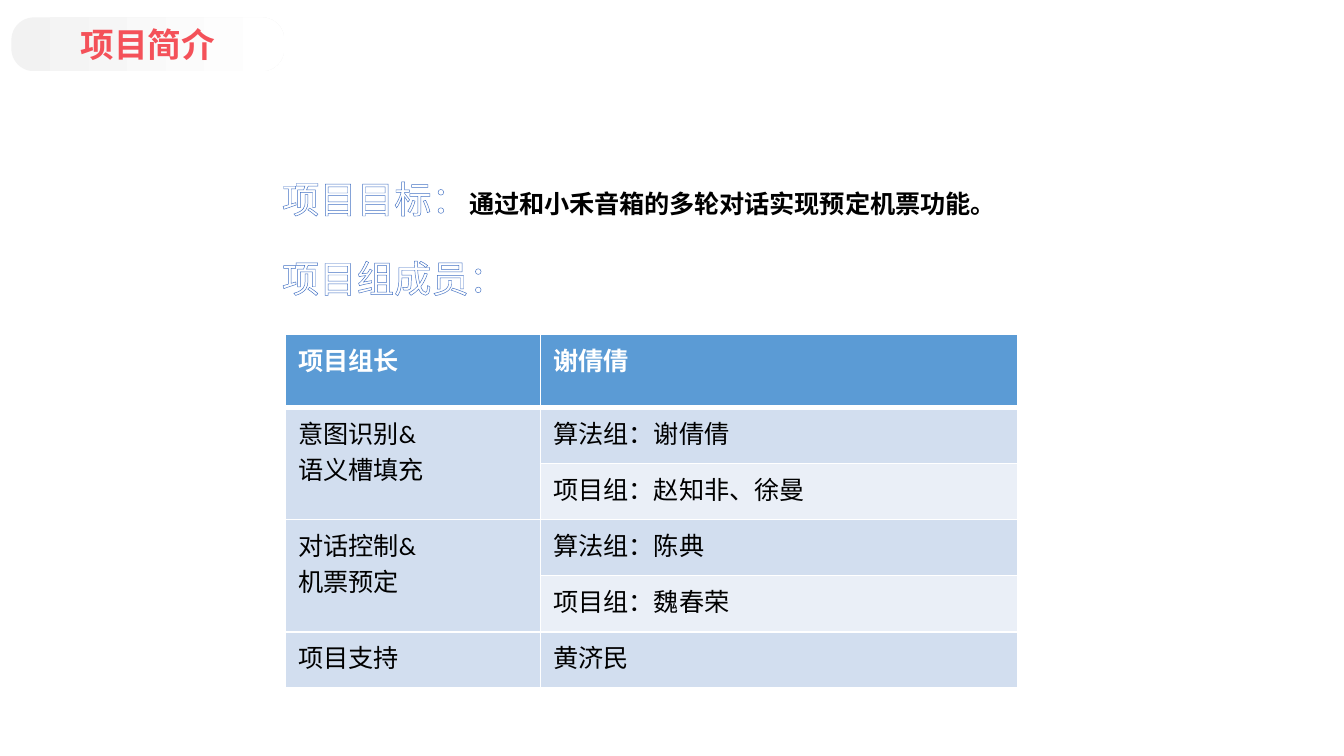
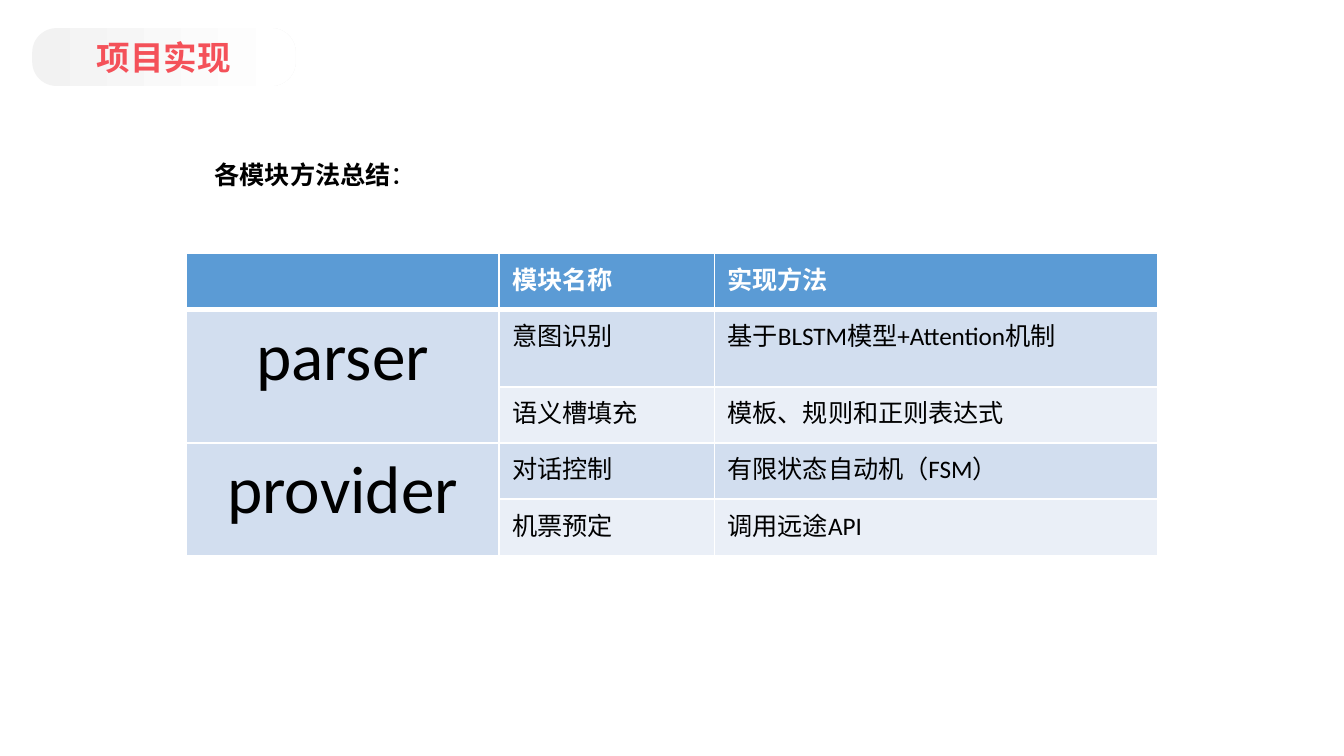
from lxml.etree import SubElement
from pptx import Presentation
from pptx.dml.color import RGBColor
from pptx.enum.shapes import MSO_SHAPE as Shape
from pptx.enum.text import MSO_ANCHOR as Anchor, MSO_AUTO_SIZE as AutoSize, PP_ALIGN as Align
from pptx.oxml import parse_xml
from pptx.oxml.ns import nsdecls, qn
from pptx.util import Inches, Pt

WHITE, BLACK, RED, OUTLINE = "FFFFFF", "000000", "F45159", "4472C4"
HEADER, BANDS = "5B9BD5", ("EAEFF7", "D2DEEF")
LATIN, CHINESE = "Calibri", "Noto Sans CJK SC"
BODY, LABEL, HEADING, MODULE = 13.5, 20, 18, 36


def color(value):
    return RGBColor.from_string(value)


def line_xml(tag, value, width):
    return parse_xml(
        f'<a:{tag} {nsdecls("a")} w="{Pt(width)}"><a:solidFill>'
        f'<a:srgbClr val="{value}"/></a:solidFill></a:{tag}>')


class Deck:
    """Draw styled elements on a grid of 100 columns, ten to the inch."""

    def __init__(self):
        self.deck = Presentation()
        self.deck.slide_width = Inches(10)
        self.deck.slide_height = self.deck.slide_width * 9 // 16
        self.page = None

    def grid(self, *cells):
        unit = self.deck.slide_width / 100
        return [round(cell * unit) for cell in cells]

    def span(self, para, text, size=BODY, fill=BLACK, bold=False, font=LATIN, outline=None):
        span = para.add_run()
        span.text = text
        span.font.size = Pt(size)
        span.font.bold = bold
        span.font.name = font
        span.font.color.rgb = color(fill)
        properties = span.font._element
        SubElement(properties, qn("a:ea")).set("typeface", CHINESE)
        if outline:
            properties.insert(0, line_xml("ln", outline, 0.8))

    def add_page(self, title, *cells):
        self.page = self.deck.slides.add_slide(self.deck.slide_layouts[5])
        box = self.page.shapes.title
        box.left, box.top, box.width, box.height = self.grid(*cells)
        box._element.addprevious(self.add_pill(*cells)._element)
        frame = box.text_frame
        frame.auto_size = AutoSize.NONE
        frame.vertical_anchor = Anchor.MIDDLE
        para = frame.paragraphs[0]
        para.alignment = Align.CENTER
        self.span(para, title, HEADING, RED, True, CHINESE)

    def add_pill(self, *cells):
        pill = self.page.shapes.add_shape(Shape.ROUNDED_RECTANGLE, *self.grid(*cells))
        pill.adjustments[0] = 0.42
        pill.shadow.inherit = False
        pill.line.fill.background()
        pill.fill.gradient()
        pill.fill.gradient_angle = 0
        for stop, value, position in zip(pill.fill.gradient_stops, ("F2F2F2", WHITE), (0, 0.99)):
            stop.color.rgb = color(value)
            stop.position = position
        return pill

    def add_text(self, left, top, width, height, *spans):
        box = self.page.shapes.add_textbox(*self.grid(left, top, width, height))
        frame = box.text_frame
        frame.word_wrap = True
        frame.auto_size = AutoSize.SHAPE_TO_FIT_TEXT
        for text, style in spans:
            self.span(frame.paragraphs[0], text, **style)

    def add_table(self, left, top, widths, heights, rows):
        place = self.grid(left, top, sum(widths), sum(heights))
        table = self.page.shapes.add_table(len(rows), len(widths), *place).table
        table.horz_banding = False
        for column, width in zip(table.columns, self.grid(*widths)):
            column.width = width
        for row, height in zip(table.rows, self.grid(*heights)):
            row.height = height
        for r, texts in enumerate(rows):
            for c, text in enumerate(texts):
                self.fill_cell(table.cell(r, c), r, text)
                if text is None:
                    table.cell(r - 1, c).merge(table.cell(r, c))

    def fill_cell(self, cell, row, text):
        properties = cell._tc.get_or_add_tcPr()
        widths = {"lnL": 1, "lnR": 1, "lnT": 3 if row == 1 else 1, "lnB": 1 if row else 3}
        for tag, width in widths.items():
            properties.append(line_xml(tag, WHITE, width))
        cell.fill.solid()
        cell.fill.fore_color.rgb = color(BANDS[row % 2] if row else HEADER)
        if not text:
            return
        frame = cell.text_frame
        for index, words in enumerate(text.split("\n")):
            para = frame.add_paragraph() if index else frame.paragraphs[0]
            is_module = words in ("parser", "provider")
            if is_module:
                para.alignment = Align.CENTER
            self.span(para, words, MODULE if is_module else BODY,
                      BLACK if row else WHITE, not row)


def main():
    deck = Deck()
    label = {"size": LABEL, "fill": WHITE, "outline": OUTLINE}
    strong = {"bold": True}

    deck.add_page("项目简介", 0.85, 1.3, 20.3, 4)
    deck.add_text(20, 12.6, 68.1, 4.4, ("项目目标：", label),
                  ("通过和小禾音箱的多轮对话实现预定机票功能。", strong))
    deck.add_text(20, 18.5, 36.4, 4.4, ("项目组成员：", label))
    deck.add_table(21.2, 24.9, (19, 35.5), (5.4,) + (4.18,) * 5, (
        ("项目组长", "谢倩倩"),
        ("意图识别&\n语义槽填充", "算法组：谢倩倩"),
        (None, "项目组：赵知非、徐曼"),
        ("对话控制&\n机票预定", "算法组：陈典"),
        (None, "项目组：魏春荣"),
        ("项目支持", "黄济民"),
    ))

    deck.add_page("项目实现", 2.4, 2.1, 19.6, 4.3)
    deck.add_table(13.85, 18.85, (23.3, 16, 33), (4.2, 5.75, 4.18, 4.18, 4.18), (
        ("", "模块名称", "实现方法"),
        ("parser", "意图识别", "基于BLSTM模型+Attention机制"),
        (None, "语义槽填充", "模板、规则和正则表达式"),
        ("provider", "对话控制", "有限状态自动机（FSM）"),
        (None, "机票预定", "调用远途API"),
    ))
    deck.add_text(15, 11.4, 17.2, 3.3, ("各模块方法总结", strong), ("：", {}))
    deck.deck.save("out.pptx")


if __name__ == "__main__":
    main()
